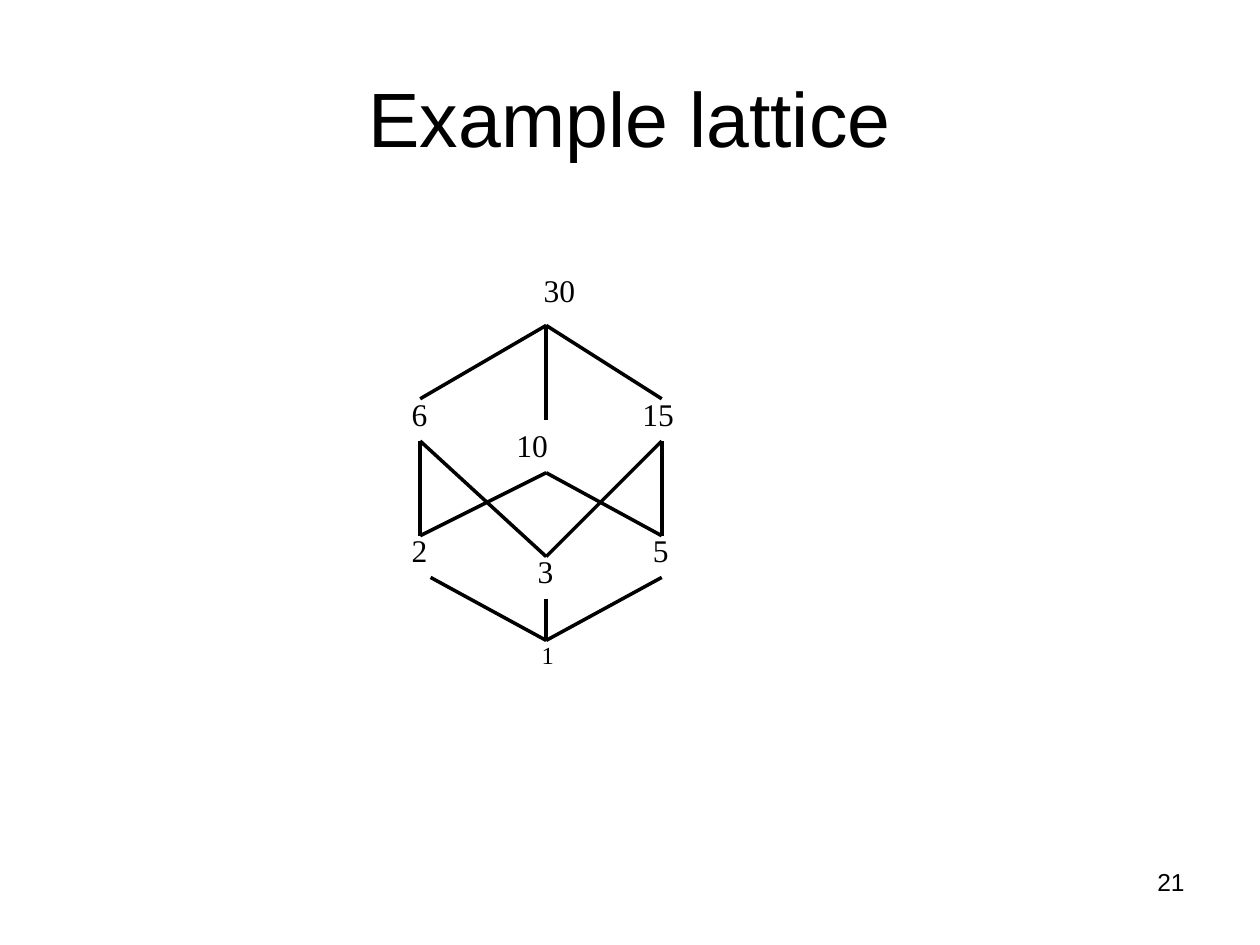
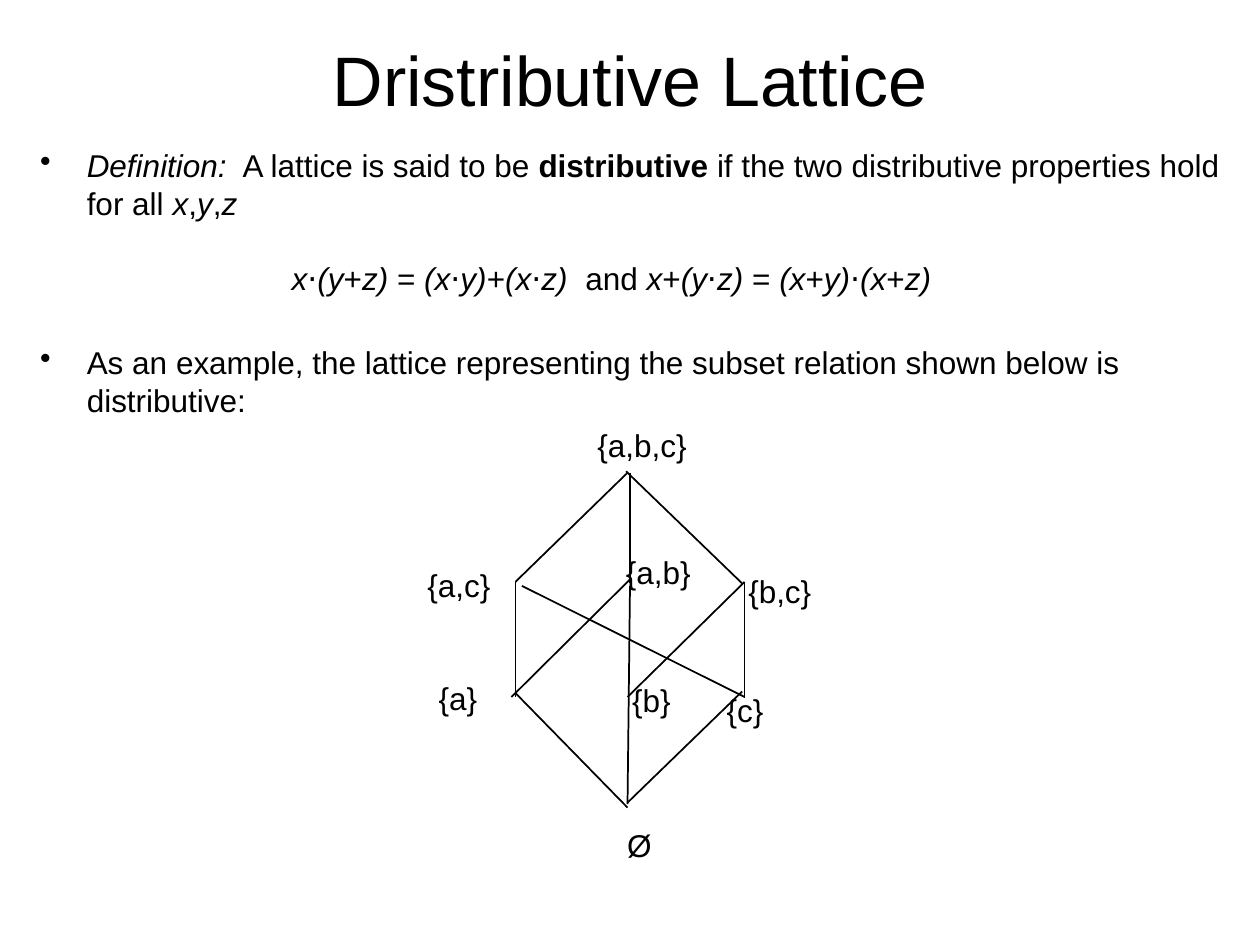
from dataclasses import dataclass

from lxml import etree
from pptx import Presentation
from pptx.dml.color import RGBColor
from pptx.enum.shapes import MSO_CONNECTOR
from pptx.enum.text import MSO_ANCHOR, MSO_AUTO_SIZE, PP_ALIGN
from pptx.oxml.ns import qn
from pptx.util import Cm, Pt

LEFT, CENTER, RIGHT = PP_ALIGN.LEFT, PP_ALIGN.CENTER, PP_ALIGN.RIGHT
MIDDLE = MSO_ANCHOR.MIDDLE
FIT_SHAPE = MSO_AUTO_SIZE.SHAPE_TO_FIT_TEXT
STRAIGHT = MSO_CONNECTOR.STRAIGHT


@dataclass(frozen=True)
class Theme:
    ink: RGBColor = RGBColor(0, 0, 0)
    sans: str = "Arial"
    serif: str = "Times New Roman"
    body: int = 18
    small: int = 14
    blank_line: float = 21.6
    paragraph_gap: float = 4.5


theme = Theme()


def add_text(page, text, left, top, width, height=1.02, font=theme.sans,
             size=theme.body, align=LEFT, wrap=True):
    box = page.shapes.add_textbox(Cm(left), Cm(top), Cm(width), Cm(height))
    box.text_frame.word_wrap = wrap
    if not wrap:
        box.text_frame.auto_size = FIT_SHAPE
    para = box.text_frame.paragraphs[0]
    para.text = text
    para.alignment = align
    para.font.name = font
    para.font.size = Pt(size)
    para.font.color.rgb = theme.ink
    return box


def add_edge(page, start, end, weight):
    edge = page.shapes.add_connector(STRAIGHT, *(Cm(value) for value in (*start, *end)))
    edge.line.color.rgb = theme.ink
    edge.line.width = Pt(weight)
    etree.SubElement(edge._element.spPr, qn("a:effectLst"))


deck = Presentation()
deck.slide_width, deck.slide_height = Cm(25.4), Cm(19.05)

# Pages and titles: text, top, size
pages = []
for text, top, size in [("Example lattice", 0.76, 44), ("Dristributive Lattice", 0, 40)]:
    page = deck.slides.add_slide(deck.slide_layouts[5])
    title = page.shapes.title
    title.left, title.top, title.width, title.height = Cm(1.27), Cm(top), Cm(22.86), Cm(3.18)
    title.text_frame.text = text
    title.text_frame.vertical_anchor = MIDDLE
    para = title.text_frame.paragraphs[0]
    para.alignment = CENTER
    para.font.name = theme.sans
    para.font.size = Pt(size)
    para.font.color.rgb = theme.ink
    pages.append(page)
divisor_page, subset_page = pages

# Divisors of 30: label place and width, then the points where edges arrive and leave
west, middle, east = 8.47, 11.01, 13.34
divisors = {
    30: ((10.71, 5.34, 1.47), None, (middle, 6.56)),
    6: ((8.05, 7.83, 1.07), (west, 8.04), (west, 8.89)),
    10: ((10.16, 8.46, 1.47), (middle, 8.47), (middle, 9.53)),
    15: ((12.7, 7.83, 1.47), (east, 8.04), (east, 8.89)),
    2: ((8.05, 10.59, 1.07), (west, 10.8), (8.68, 11.64)),
    3: ((10.59, 11, 1.07), (middle, 11.22), (middle, 12.07)),
    5: ((12.91, 10.59, 1.07), (east, 10.8), (east, 11.64)),
    1: ((10.67, 12.78, 1.07), (middle, 12.91), None),
}
for number, (place, _, leave) in divisors.items():
    add_text(divisor_page, str(number), *place, font=theme.serif,
             size=theme.small if number == 1 else theme.body)
    # An edge joins two divisors whose quotient is prime
    for prime in (2, 3, 5):
        if number % prime == 0:
            add_edge(divisor_page, leave, divisors[number // prime][1], weight=2)

# Page number
add_text(divisor_page, "21", 18.21, 17.35, 5.92, 1.32, size=theme.small, align=RIGHT)

# Definition text: runs with style, i for italic and b for bold
definition = [
    ("Definition: ", "i"), (" A lattice is said to be ", ""), ("distributive", "b"),
    (" if the two distributive properties hold for all ", ""),
    ("x", "i"), (",", ""), ("y", "i"), (",", ""), ("z", "i"),
]
formula = [
    ("x⋅(y", "i"), ("+", ""), ("z) ", "i"), ("=", ""), (" (x⋅y)", "i"), ("+", ""),
    ("(x⋅z) ", "i"), (" and ", ""), ("x", "i"), ("+", ""), ("(y⋅z) ", "i"), ("=", ""),
    (" (x", "i"), ("+", ""), ("y)⋅(x", "i"), ("+", ""), ("z)", "i"),
]
example = [("As an example, the lattice representing the subset relation "
            "shown below is distributive:", "")]
# Runs, bulleted or not, space before
body = [
    (definition, True, 0),
    (formula, False, theme.blank_line),
    (example, True, theme.blank_line + theme.paragraph_gap),
]
frame = add_text(subset_page, "", 0.56, 2.82, 24.31, 6.53).text_frame
for index, (spans, bulleted, gap) in enumerate(body):
    para = frame.add_paragraph() if index else frame.paragraphs[0]
    para.space_before = Pt(gap)
    properties = para._p.get_or_add_pPr()
    properties.set("marL", str(Cm(0.94 if bulleted else 5.07)))
    if bulleted:
        properties.set("indent", str(-Cm(0.94)))
        bullet = etree.Element(qn("a:buChar"), char="•")
        properties.find(qn("a:spcBef")).addnext(bullet)
    for text, style in spans:
        span = para.add_run()
        span.text = text
        span.font.name = theme.sans
        span.font.size = Pt(theme.body)
        span.font.color.rgb = theme.ink
        span.font.italic = style == "i"
        span.font.bold = style == "b"

# Subset lattice edges
subset_edges = [
    ((12.65, 9.53), (10.39, 11.73)),
    ((12.62, 9.5), (14.96, 11.76)),
    ((12.7, 9.53), (12.7, 11.76)),
    ((10.39, 11.73), (10.39, 14.05)),
    ((10.39, 13.97), (12.65, 16.28)),
    ((14.96, 13.94), (12.65, 16.18)),
    ((15.01, 11.73), (15.01, 14.07)),
    ((15.01, 11.73), (12.65, 14.05)),
    ((12.7, 11.81), (12.65, 16.21)),
    ((10.31, 14.05), (12.7, 11.68)),
    ((10.52, 11.81), (15.01, 14.05)),
]
for start, end in subset_edges:
    add_edge(subset_page, start, end, weight=1)

# Subset lattice labels: text, left, top, width
subset_labels = [
    ("{a,b,c}", 11.74, 8.46, 2.41),
    ("{b,c}", 14.77, 11.4, 1.9),
    ("{a,b}", 12.32, 11.02, 1.9),
    ("{a,c}", 8.3, 11.28, 1.9),
    ("{a}", 8.53, 13.56, 1.4),
    ("{b}", 12.43, 13.61, 1.4),
    ("{c}", 14.32, 13.81, 1.4),
    ("Ø", 12.34, 16.53, 1.1),
]
for label in subset_labels:
    add_text(subset_page, *label, align=CENTER, wrap=False)

deck.save("out.pptx")
